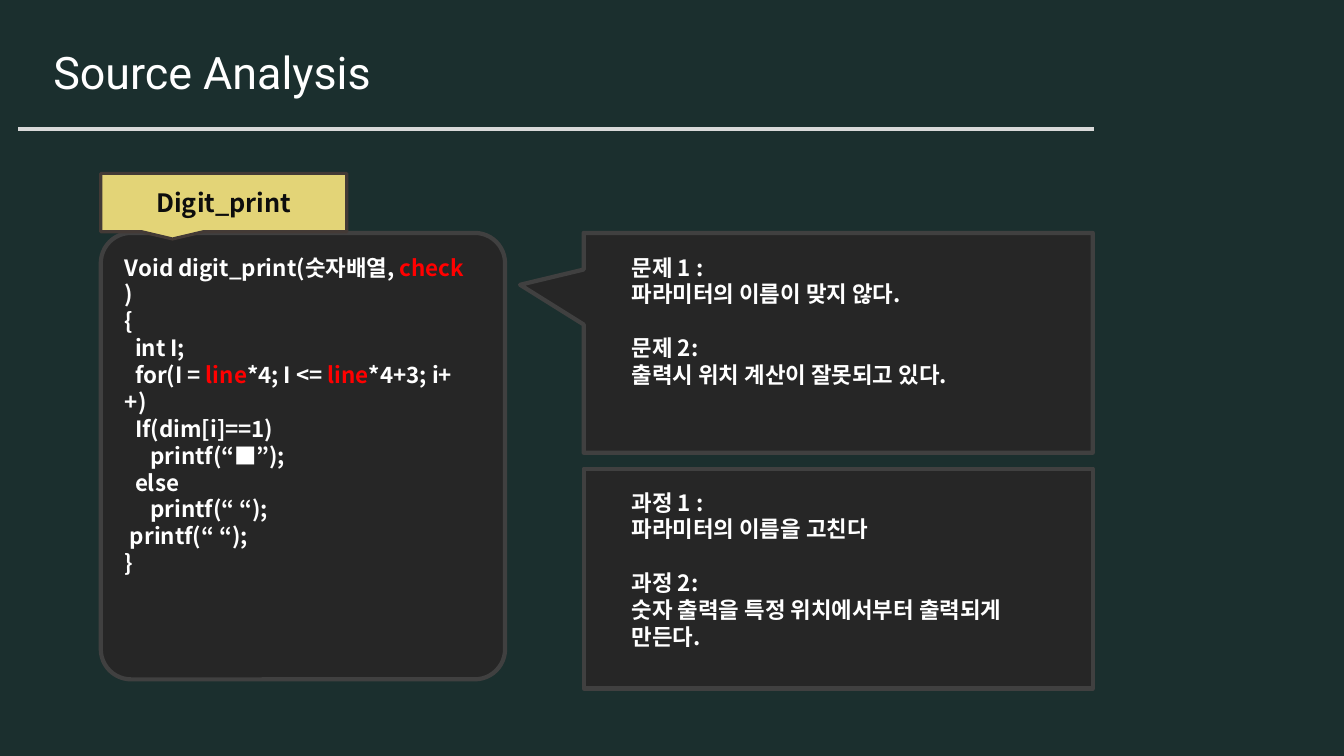
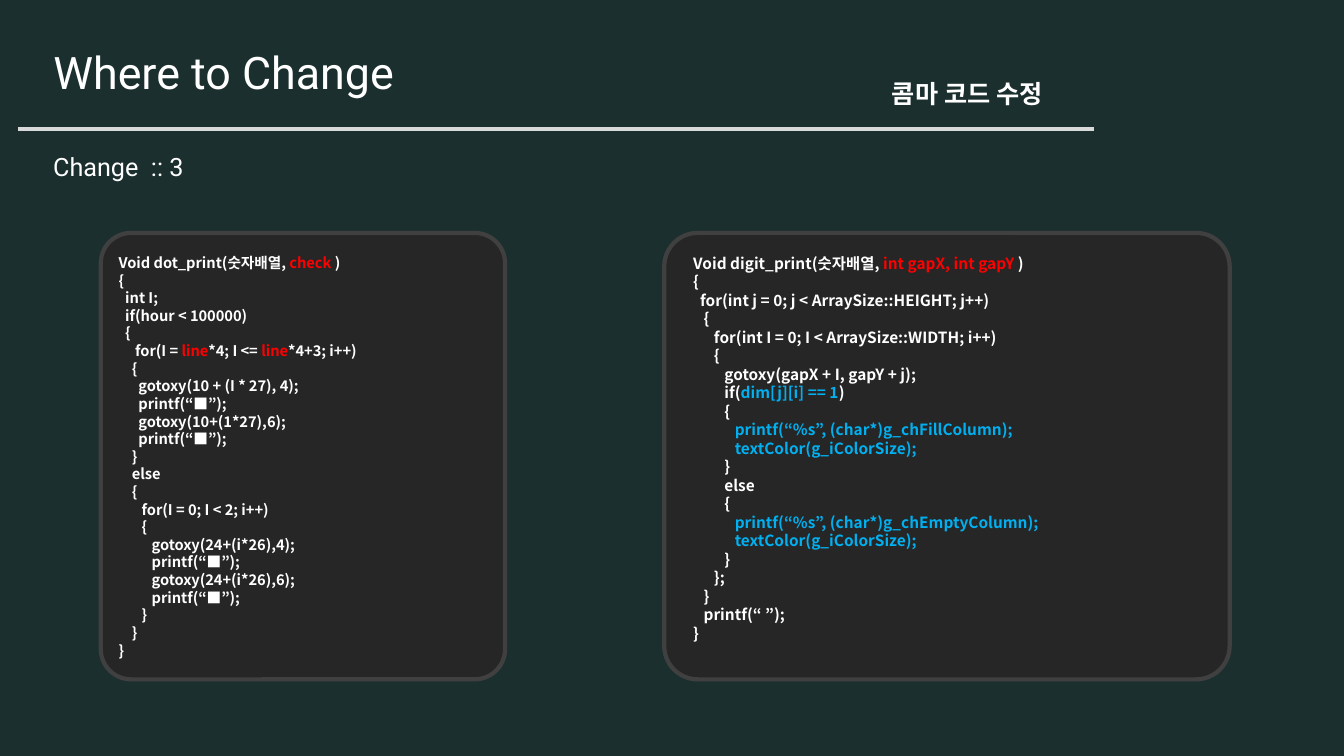
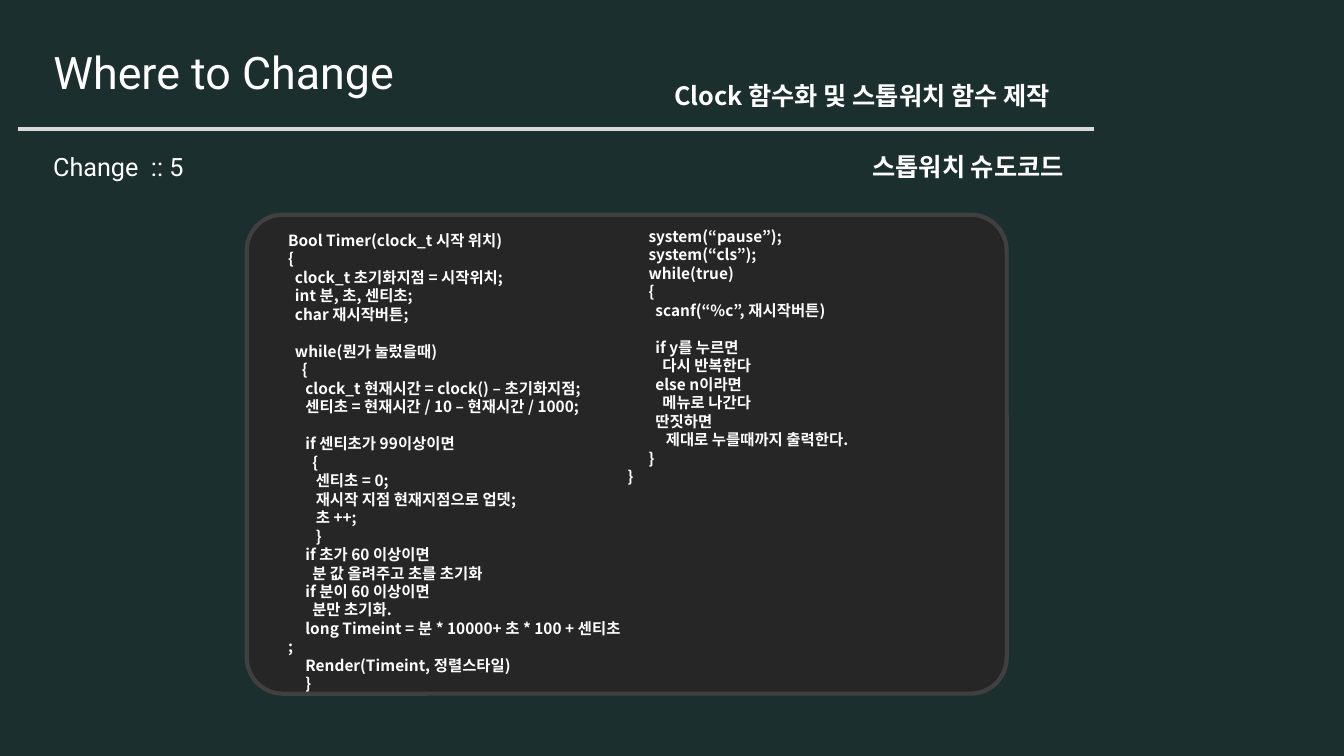
"""Build three slides that review and change the source code of a digital clock."""
from dataclasses import dataclass

from lxml.etree import SubElement
from pptx import Presentation
from pptx.dml.color import RGBColor
from pptx.enum.shapes import MSO_CONNECTOR as Connector, MSO_SHAPE as Shape
from pptx.enum.text import MSO_ANCHOR as Anchor, MSO_AUTO_SIZE as AutoSize, PP_ALIGN as Align
from pptx.oxml.ns import qn
from pptx.util import Cm, Pt


@dataclass(frozen=True)
class Theme:
    """Colours, fonts and type sizes shared by the slides."""
    background: str = "1B2F2E"
    rule: str = "D9D9D9"
    panel: str = "262626"
    panel_edge: str = "404040"
    tag: str = "E3D477"
    tag_edge: str = "433A36"
    tag_text: str = "0D0D0D"
    text: str = "FFFFFF"
    wrong: str = "FF0000"
    changed: str = "00B0F0"
    title_font: str = "Roboto"
    body_font: str = "Noto Sans CJK KR"
    title_size: float = 32
    heading_size: float = 18
    note_size: float = 16
    code_size: float = 11
    small_code_size: float = 10.5
    panel_line: float = 3
    thin_line: float = 2.25
    corner: float = 0.075
    space_width: float = 0.225
    line_height: float = 1.2


THEME = Theme()
WRONG, CHANGED = THEME.wrong, THEME.changed
SUBTITLE_BOX = (1.09, 3.68, 5.23, 1.02)
LEFT_PANEL = (2.54, 5.87, 10.19, 11.25)

FOR_LINE = ("for(I = ", ("line", WRONG), "*4; I <= ", ("line", WRONG), "*4+3; i++)")

DIGIT_PRINT = [
    ("Void digit_print(숫자배열, ", ("check ", WRONG), ")"),
    "{",
    "  int I;",
    ("  " + FOR_LINE[0], *FOR_LINE[1:]),
    "  If(dim[i]==1)",
    "     printf(“■”);",
    "  else",
    "     printf(“ “);",
    " printf(“ “);",
    "}",
]
PROBLEMS = [
    "문제 1 :",
    "파라미터의 이름이 맞지 않다.",
    "",
    "문제 2:",
    "출력시 위치 계산이 잘못되고 있다.",
]
STEPS = [
    "과정 1 :",
    "파라미터의 이름을 고친다",
    "",
    "과정 2:",
    "숫자 출력을 특정 위치에서부터 출력되게 만든다.",
]
DOT_PRINT = [
    ("Void dot_print(숫자배열, ", ("check ", WRONG), ")"),
    "{",
    "  int I;",
    "  if(hour < 100000)",
    "  {",
    ("     " + FOR_LINE[0], *FOR_LINE[1:]),
    "    {",
    "      gotoxy(10 + (I * 27), 4);",
    "      printf(“■”);",
    "      gotoxy(10+(1*27),6);",
    "      printf(“■”);",
    "    }",
    "    else",
    "    {",
    "       for(I = 0; I < 2; i++)",
    "       {",
    "          gotoxy(24+(i*26),4);",
    "          printf(“■”);",
    "          gotoxy(24+(i*26),6);",
    "          printf(“■”);",
    "       }",
    "    }",
    "}",
]
NEW_DIGIT_PRINT = [
    ("Void digit_print(숫자배열, ", ("int gapX, int gapY ", WRONG), ")"),
    "{",
    "  for(int j = 0; j < ArraySize::HEIGHT; j++)",
    "   {",
    "      for(int I = 0; I < ArraySize::WIDTH; i++)",
    "      {",
    "         gotoxy(gapX + I, gapY + j);",
    ("         if(", ("dim[j][i] == 1", CHANGED), ")"),
    "         {",
    (("            printf(“%s”, (char*)g_chFillColumn);", CHANGED),),
    (("            textColor(g_iColorSize);", CHANGED),),
    "         }",
    "         else",
    "         {",
    (("            printf(“%s”, (char*)g_chEmptyColumn);", CHANGED),),
    (("            textColor(g_iColorSize);", CHANGED),),
    "         }",
    "      };",
    "   }",
    "   printf(“ ”);",
    "}",
]
TIMER = [
    "Bool Timer(clock_t 시작 위치)",
    "{",
    "  clock_t 초기화지점 = 시작위치;",
    "  int 분, 초, 센티초;",
    "  char 재시작버튼;",
    "",
    "  while(뭔가 눌렀을때)",
    "    {",
    "     clock_t 현재시간 = clock() – 초기화지점;",
    "     센티초 = 현재시간 / 10 – 현재시간 / 1000;",
    "",
    "     if 센티초가 99이상이면",
    "       {",
    "        센티초 = 0;",
    "        재시작 지점 현재지점으로 업뎃;",
    "        초 ++;",
    "        }",
    "     if 초가 60 이상이면",
    "       분 값 올려주고 초를 초기화",
    "     if 분이 60 이상이면",
    "       분만 초기화.",
    "     long Timeint = 분 * 10000+ 초 * 100 + 센티초 ;",
    "     Render(Timeint, 정렬스타일)",
    "     }",
]
TIMER_END = [
    "      system(“pause”);",
    "      system(“cls”);",
    "      while(true)",
    "      {",
    "        scanf(“%c”, 재시작버튼)",
    "",
    "        if y를 누르면",
    "          다시 반복한다",
    "        else n이라면",
    "          메뉴로 나간다",
    "        딴짓하면",
    "           제대로 누를때까지 출력한다.",
    "      }",
    "}",
]

SLIDES = [
    {
        "title": "Source Analysis",
        "panels": [
            {"shape": Shape.ROUNDED_RECTANGLE, "box": LEFT_PANEL, "adjust": [THEME.corner],
             "texts": [((2.9, 6.27, 9.14, 8.46), DIGIT_PRINT, THEME.note_size)]},
            {"shape": Shape.RECTANGULAR_CALLOUT, "box": (14.71, 5.87, 12.83, 5.54),
             "adjust": [-0.625, -0.264],
             "texts": [((15.67, 6.27, 9.78, 4.37), PROBLEMS, THEME.note_size)]},
            {"shape": Shape.RECTANGLE, "box": (14.71, 11.81, 12.83, 5.54), "adjust": [],
             "texts": [((15.67, 12.19, 11.07, 4.37), STEPS, THEME.note_size)]},
        ],
        "tag": ("Digit_print", (2.54, 4.37, 6.2, 1.47)),
    },
    {
        "title": "Where to Change",
        "subtitle": "Change  :: 3",
        "headings": [("콤마 코드 수정", (22.23, 1.85, 8.74, 1.02))],
        "panels": [
            {"shape": Shape.ROUNDED_RECTANGLE, "box": LEFT_PANEL, "adjust": [THEME.corner],
             "texts": [((2.74, 6.27, 10.34, 10.59), DOT_PRINT, THEME.small_code_size)]},
            {"shape": Shape.ROUNDED_RECTANGLE, "box": (16.74, 5.87, 14.25, 11.25),
             "adjust": [THEME.corner],
             "texts": [((17.22, 6.27, 13.77, 10.13), NEW_DIGIT_PRINT, THEME.code_size)]},
        ],
    },
    {
        "title": "Where to Change",
        "subtitle": "Change  :: 5",
        "headings": [
            ("Clock 함수화 및 스톱워치 함수 제작", (16.74, 1.91, 11.68, 1.02)),
            ("스톱워치 슈도코드", (21.74, 3.68, 8.05, 1.02)),
        ],
        "panels": [
            {"shape": Shape.ROUNDED_RECTANGLE, "box": (6.22, 5.41, 19.15, 12.07),
             "adjust": [THEME.corner],
             "texts": [((7.01, 5.69, 8.94, 12.47), TIMER, THEME.code_size),
                       ((15.57, 5.59, 8.94, 6.83), TIMER_END, THEME.code_size)]},
        ],
    },
]


def colour(value):
    return RGBColor.from_string(value)


def lengths(box):
    return [Cm(value) for value in box]


def add_run(paragraph, text, size, font_name=THEME.body_font, color=THEME.text, bold=True):
    run = paragraph.add_run()
    run.text = text
    font = run.font
    font.name, font.size, font.bold = font_name, Pt(size), bold
    font.color.rgb = colour(color)
    SubElement(font._element, qn("a:ea"), typeface=font_name)


def add_lines(frame, lines, size, **style):
    paragraph, gap = frame.paragraphs[0], 0
    for number, line in enumerate(lines):
        if not line:
            gap += size * THEME.line_height
            continue
        if number:
            paragraph = frame.add_paragraph()
        paragraph.space_before, gap = Pt(gap), 0
        parts = [line] if isinstance(line, str) else line
        for index, part in enumerate(parts):
            text, color = (part, THEME.text) if isinstance(part, str) else part
            if index == 0:
                spaces = len(text) - len(text.lstrip())
                indent = Pt(spaces * size * THEME.space_width)
                paragraph._p.get_or_add_pPr().set("indent", str(indent))
                text = text.lstrip()
            add_run(paragraph, text, size, color=color, **style)


def add_text(shapes, box, lines, size, **style):
    frame = shapes.add_textbox(*lengths(box)).text_frame
    frame.word_wrap = True
    frame.auto_size = AutoSize.SHAPE_TO_FIT_TEXT
    add_lines(frame, lines, size, **style)


def add_box(shapes, kind, box, fill, edge, width, adjust=()):
    shape = shapes.add_shape(kind, *lengths(box))
    shape.shadow.inherit = False
    shape.fill.solid()
    shape.fill.fore_color.rgb = colour(fill)
    shape.line.color.rgb = colour(edge)
    shape.line.width = Pt(width)
    for index, value in enumerate(adjust):
        shape.adjustments[index] = value
    return shape


def add_panel(slide, panel):
    shapes = slide.shapes.add_group_shape().shapes
    add_box(shapes, panel["shape"], panel["box"], THEME.panel, THEME.panel_edge,
            THEME.panel_line, panel["adjust"])
    for box, lines, size in panel["texts"]:
        add_text(shapes, box, lines, size)


def add_tag(slide, text, box):
    shape = add_box(slide.shapes, Shape.RECTANGULAR_CALLOUT, box, THEME.tag,
                    THEME.tag_edge, THEME.thin_line)
    shape.text_frame.vertical_anchor = Anchor.MIDDLE
    paragraph = shape.text_frame.paragraphs[0]
    paragraph.alignment = Align.CENTER
    add_run(paragraph, text, THEME.heading_size, color=THEME.tag_text)


def add_header(slide, text):
    rule = slide.shapes.add_connector(Connector.STRAIGHT, Cm(0.46), Cm(3.25), Cm(27.56), Cm(3.25))
    rule.line.color.rgb = colour(THEME.rule)
    rule.line.width = Pt(THEME.thin_line)
    SubElement(rule._element.spPr, qn("a:effectLst"))
    title = slide.shapes.title
    title.left, title.top, title.width, title.height = lengths((1.09, 0.99, 12.24, 1.63))
    frame = title.text_frame
    frame.word_wrap = True
    frame.auto_size = AutoSize.NONE
    frame.vertical_anchor = Anchor.TOP
    frame.paragraphs[0].alignment = Align.LEFT
    add_run(frame.paragraphs[0], text, THEME.title_size, THEME.title_font, bold=False)


def build_slide(presentation, content):
    slide = presentation.slides.add_slide(presentation.slide_layouts.get_by_name("Title Only"))
    add_header(slide, content["title"])
    if "subtitle" in content:
        add_text(slide.shapes, SUBTITLE_BOX, [content["subtitle"]], THEME.heading_size,
                 font_name=THEME.title_font, bold=False)
    for text, box in content.get("headings", []):
        add_text(slide.shapes, box, [text], THEME.heading_size)
    for panel in content["panels"]:
        add_panel(slide, panel)
    if "tag" in content:
        add_tag(slide, *content["tag"])


def main():
    presentation = Presentation()
    presentation.slide_width, presentation.slide_height = Cm(33.87), Cm(19.05)
    background = presentation.slide_master.background.fill
    background.solid()
    background.fore_color.rgb = colour(THEME.background)
    for content in SLIDES:
        build_slide(presentation, content)
    presentation.save("out.pptx")


if __name__ == "__main__":
    main()
